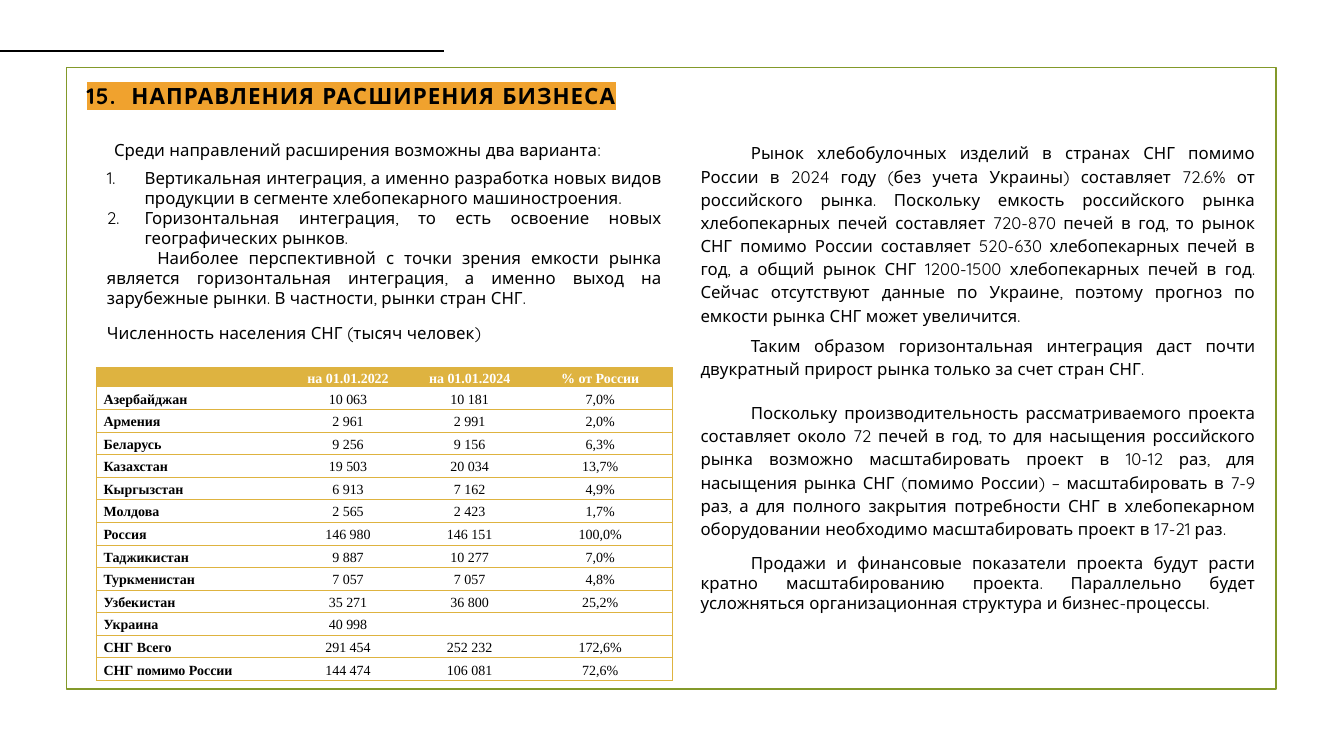
from lxml import etree
from pptx import Presentation
from pptx import util as u
from pptx.dml.color import RGBColor
from pptx.enum import shapes, text
from pptx.oxml import ns

GOLD, GREEN, BLACK, WHITE = "DEB340", "83992A", "000000", "FFFFFF"
HIGHLIGHT = "F0A22E"
BODY_FONT, TABLE_FONT = "Quicksand", "Times New Roman"
JUSTIFY, LEFT, CENTER = (text.PP_ALIGN.JUSTIFY, text.PP_ALIGN.LEFT,
                         text.PP_ALIGN.CENTER)

TITLE = "15.  НАПРАВЛЕНИЯ РАСШИРЕНИЯ БИЗНЕСА"

DIRECTIONS = [
    dict(words="Среди направлений расширения возможны два варианта:", indent=0.18),
    dict(words="Вертикальная интеграция, а именно разработка новых видов продукции "
               "в сегменте хлебопекарного машиностроения.",
         before=5, numbered=True),
    dict(words="Горизонтальная интеграция, то есть освоение новых "
               "географических рынков.", numbered=True),
    dict(words="Наиболее перспективной с точки зрения емкости рынка является "
               "горизонтальная интеграция, а именно выход на зарубежные рынки. "
               "В частности, рынки стран СНГ.", indent=1.27, after=10),
    dict(words="Численность населения СНГ (тысяч человек)"),
]

MARKET = [
    dict(words="Рынок хлебобулочных изделий в странах СНГ помимо России в 2024 году "
               "(без учета Украины) составляет 72.6% от российского рынка. Поскольку "
               "емкость российского рынка хлебопекарных печей составляет 720-870 печей "
               "в год, то рынок СНГ помимо России составляет 520-630 хлебопекарных "
               "печей в год, а общий рынок СНГ 1200-1500 хлебопекарных печей в год. "
               "Сейчас отсутствуют данные по Украине, поэтому прогноз по емкости рынка "
               "СНГ может увеличится.", indent=1.27, spacing=1.15),
    dict(words="Таким образом горизонтальная интеграция даст почти двукратный прирост "
               "рынка только за счет стран СНГ.",
         indent=1.27, spacing=1.15, before=5, after=10),
    dict(words="Поскольку производительность рассматриваемого проекта составляет около "
               "72 печей в год, то для насыщения российского рынка возможно "
               "масштабировать проект в 10-12 раз, для насыщения рынка СНГ (помимо "
               "России) – масштабировать в 7-9 раз, а для полного закрытия потребности "
               "СНГ в хлебопекарном оборудовании необходимо масштабировать проект в "
               "17-21 раз.", indent=1.27, spacing=1.15, before=5, after=10),
    dict(words="Продажи и финансовые показатели проекта будут расти кратно "
               "масштабированию проекта. Параллельно будет усложняться организационная "
               "структура и бизнес-процессы.", indent=1.27),
]

POPULATION = [
    ("", "на 01.01.2022", "на 01.01.2024", "% от России"),
    ("Азербайджан", "10 063", "10 181", "7,0%"),
    ("Армения", "2 961", "2 991", "2,0%"),
    ("Беларусь", "9 256", "9 156", "6,3%"),
    ("Казахстан", "19 503", "20 034", "13,7%"),
    ("Кыргызстан", "6 913", "7 162", "4,9%"),
    ("Молдова", "2 565", "2 423", "1,7%"),
    ("Россия", "146 980", "146 151", "100,0%"),
    ("Таджикистан", "9 887", "10 277", "7,0%"),
    ("Туркменистан", "7 057", "7 057", "4,8%"),
    ("Узбекистан", "35 271", "36 800", "25,2%"),
    ("Украина", "40 998", "", ""),
    ("СНГ Всего", "291 454", "252 232", "172,6%"),
    ("СНГ помимо России", "144 474", "106 081", "72,6%"),
]
COLUMN_WIDTHS = (4.75, 3.18, 2.95, 3.63)


def rgb(value):
    """Turn a hex string into a colour."""
    return RGBColor.from_string(value)


def add_xml(parent, tag, **attrs):
    """Append a DrawingML element and return it."""
    return etree.SubElement(parent, ns.qn(tag), attrs)


def format_run(r, font, size, color=BLACK, bold=False):
    """Set the font of a run."""
    r.font.name, r.font.size, r.font.bold = font, u.Pt(size), bold
    r.font.color.rgb = rgb(color)


def place(sp, x, y, w, h):
    """Move a placeholder and make its text wrap from the top."""
    sp.left, sp.top, sp.width, sp.height = (u.Cm(v) for v in (x, y, w, h))
    tf = sp.text_frame
    tf.word_wrap = True
    tf.auto_size = text.MSO_AUTO_SIZE.NONE
    tf.vertical_anchor = text.MSO_ANCHOR.TOP
    return tf


def fill_title(sp):
    """Write the highlighted title."""
    tf = place(sp, 1.93, 1.93, 29.97, 0.94)
    tf.text = TITLE
    p = tf.paragraphs[0]
    p.alignment = LEFT
    r = p.runs[0]
    format_run(r, BODY_FONT, 16, bold=True)
    rPr = r.font._element
    rPr.set("spc", "80")
    highlight = etree.Element(ns.qn("a:highlight"))
    add_xml(highlight, "a:srgbClr", val=HIGHLIGHT)
    rPr.find(ns.qn("a:solidFill")).addnext(highlight)


def format_paragraph(p, words, indent=0, before=0, after=0, spacing=1.0, numbered=False):
    """Write one justified paragraph, numbered or with a first-line indent."""
    p.text = words
    p.alignment, p.line_spacing = JUSTIFY, spacing
    p.space_before, p.space_after = u.Pt(before), u.Pt(after)
    margin, first = (0.95, -0.95) if numbered else (0, indent)
    pPr = p._p.get_or_add_pPr()
    pPr.set("marL", str(u.Cm(margin)))
    pPr.set("indent", str(u.Cm(first)))
    if numbered:
        add_xml(pPr, "a:buFont", typeface="+mj-lt")
        add_xml(pPr, "a:buAutoNum", type="arabicPeriod")
    else:
        add_xml(pPr, "a:buNone")
    format_run(p.runs[0], BODY_FONT, 12)


def fill_body(sp, x, height, paragraphs):
    """Write a column of paragraphs."""
    tf = place(sp, x, 3.25, 14.5, height)
    tf.margin_top = u.Cm(0.28)
    for i, item in enumerate(paragraphs):
        p = tf.paragraphs[0] if i == 0 else tf.add_paragraph()
        format_paragraph(p, **item)


def set_borders(cell, sides):
    """Draw gold borders on the given sides and none on the others."""
    tcPr = cell._tc.get_or_add_tcPr()
    for side in "LRTB":
        ln = add_xml(tcPr, f"a:ln{side}", w=str(u.Pt(0.75)))
        if side in sides:
            add_xml(add_xml(ln, "a:solidFill"), "a:srgbClr", val=GOLD)
        else:
            add_xml(ln, "a:noFill")


def fill_cell(cell, words, header, label, sides):
    """Write and format one table cell."""
    cell.text = words
    cell.vertical_anchor = text.MSO_ANCHOR.MIDDLE
    cell.margin_left = cell.margin_right = u.Cm(0.18)
    cell.margin_top = cell.margin_bottom = 0
    p = cell.text_frame.paragraphs[0]
    p.alignment, p.line_spacing = LEFT if label else CENTER, 1.15
    for r in p.runs:
        format_run(r, TABLE_FONT, 10, WHITE if header else BLACK, header or label)
    if not words:
        add_xml(p._p, "a:endParaRPr", sz="1000")
    set_borders(cell, sides)
    if header:
        cell.fill.solid()
        cell.fill.fore_color.rgb = rgb(GOLD)
    else:
        cell.fill.background()


def add_population_table(s):
    """Add the population table."""
    last = len(COLUMN_WIDTHS) - 1
    tbl = s.shapes.add_table(len(POPULATION), last + 1, u.Cm(2.43), u.Cm(9.27),
                             u.Cm(sum(COLUMN_WIDTHS)), u.Cm(7.9)).table
    tbl.horz_banding = False
    for col, width in zip(tbl.columns, COLUMN_WIDTHS):
        col.width = u.Cm(width)
    for i, values in enumerate(POPULATION):
        tbl.rows[i].height = u.Cm(0.57 if i else 0.48)
        for j, words in enumerate(values):
            sides = "TB" + ("L" if j == 0 else "") + ("R" if j == last else "")
            fill_cell(tbl.cell(i, j), words, i == 0, j == 0, sides)


def add_frame(s):
    """Add the green frame."""
    sp = s.shapes.add_shape(shapes.MSO_SHAPE.RECTANGLE, u.Cm(1.68), u.Cm(1.7),
                            u.Cm(30.48), u.Cm(15.67))
    sp.shadow.inherit = False
    sp.fill.background()
    sp.line.color.rgb, sp.line.width = rgb(GREEN), u.Pt(1.25)


def add_rule(s):
    """Add the black line above the frame."""
    line = s.shapes.add_connector(shapes.MSO_CONNECTOR.STRAIGHT, 0, u.Cm(1.28),
                                  u.Cm(11.18), u.Cm(1.28))
    line.line.color.rgb, line.line.width = rgb(BLACK), u.Pt(1.5)
    add_xml(line._element.spPr, "a:effectLst")


def main():
    """Build the slide."""
    prs = Presentation()
    prs.slide_width, prs.slide_height = u.Cm(33.87), u.Cm(19.05)
    s = prs.slides.add_slide(prs.slide_layouts[3])
    title, left, right = s.placeholders
    add_frame(s)
    add_rule(s)
    fill_title(title)
    fill_body(left, 2.44, 6.17, DIRECTIONS)
    fill_body(right, 17.4, 13.18, MARKET)
    add_population_table(s)
    prs.save("out.pptx")


if __name__ == "__main__":
    main()
